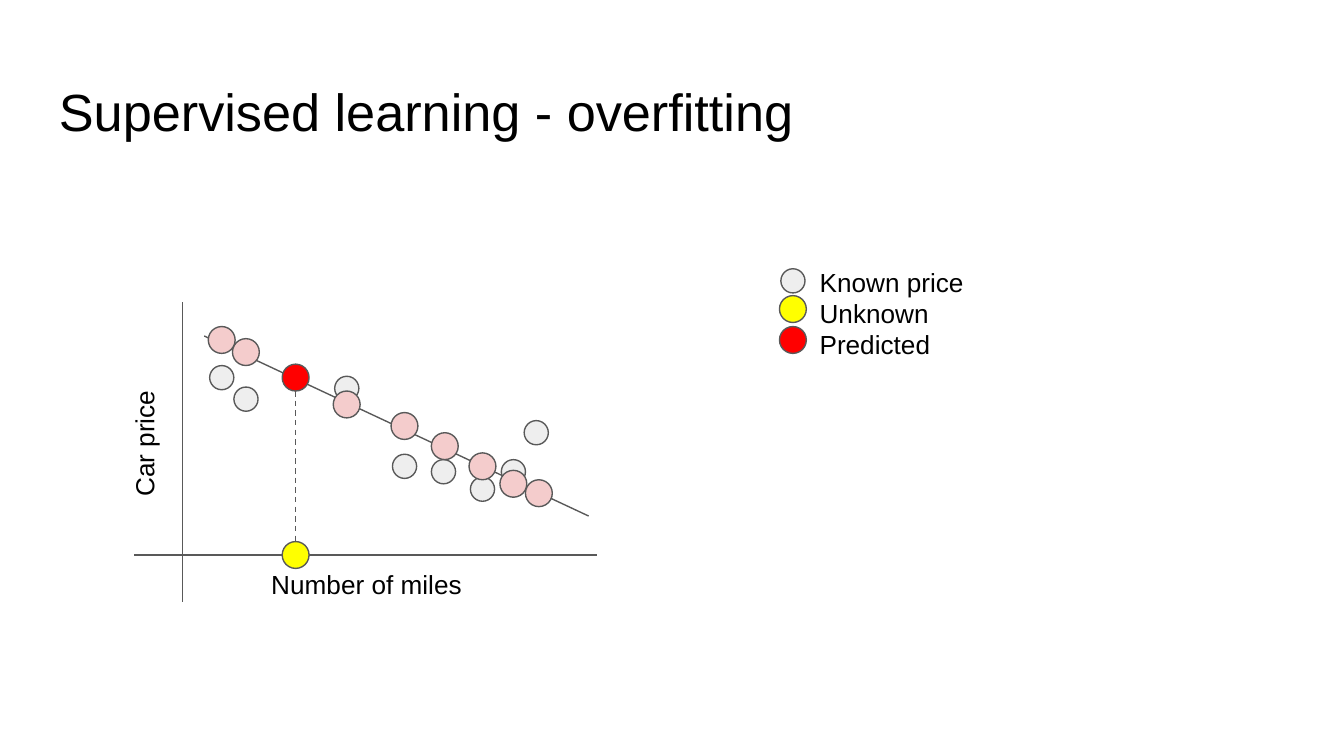
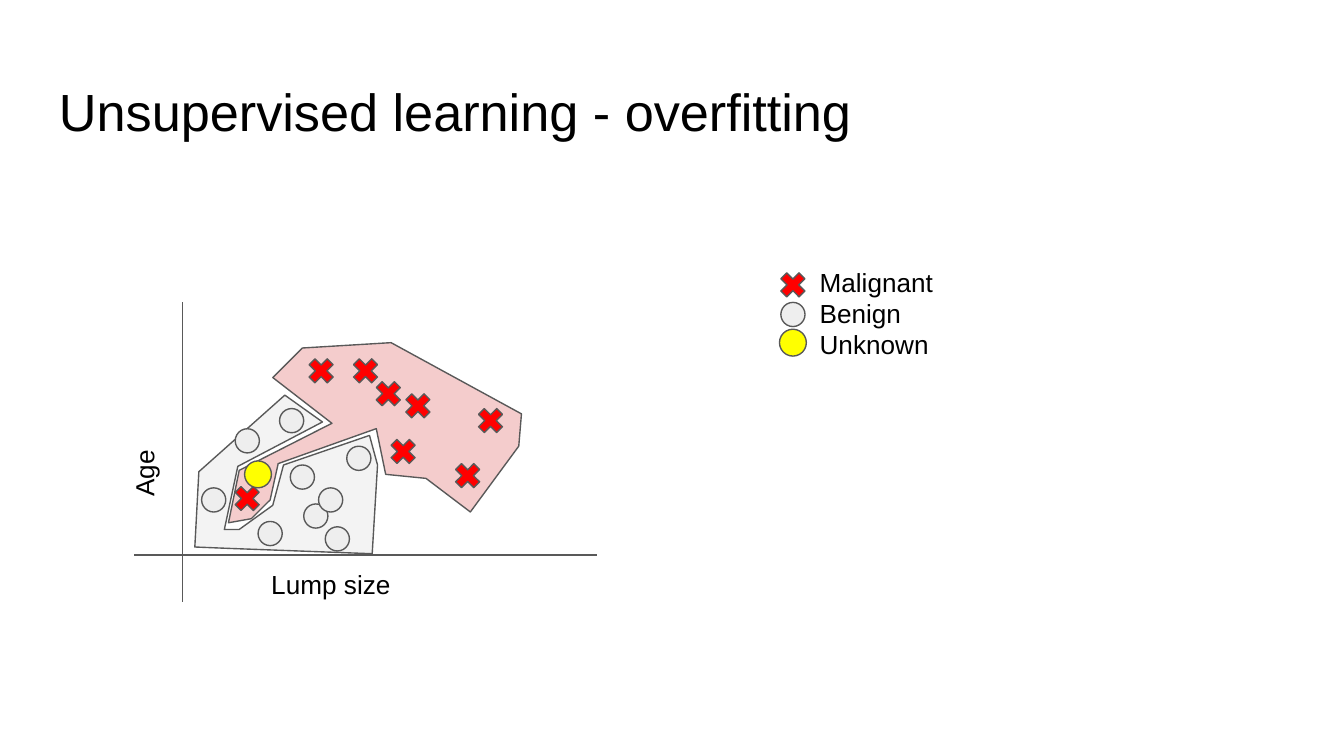
"""Build two slides that show overfitting in supervised and unsupervised learning."""
from lxml import etree
from pptx import Presentation
from pptx.dml.color import RGBColor
from pptx.enum.dml import MSO_LINE
from pptx.enum.shapes import MSO_CONNECTOR, MSO_SHAPE
from pptx.oxml.ns import qn
from pptx.util import Inches, Pt

CIRCLE = MSO_SHAPE.OVAL
DOT = MSO_SHAPE.FLOWCHART_CONNECTOR
CROSS = MSO_SHAPE.MATH_MULTIPLY
STRAIGHT = MSO_CONNECTOR.STRAIGHT
DASH = MSO_LINE.DASH

WIDTH = 10
HEIGHT = WIDTH * 9 / 16
INK, OUTLINE = "000000", "595959"
GREY, PALE_GREY, PINK = "EEEEEE", "F3F3F3", "F4CCCC"
YELLOW, RED = "FFFF00", "FF0000"

MARKERS = {
    "known": (CIRCLE, 0.18, GREY),
    "unknown": (DOT, 0.2, YELLOW),
    "predicted": (DOT, 0.2, RED),
    "fitted": (DOT, 0.2, PINK),
    "malignant": (CROSS, 0.26, RED),
}
TITLE_FORMAT = {"size": Pt(28), "name": "Arial"}
LABEL_FORMAT = {"size": Pt(14), "name": "Arial"}
TITLE_BOX = (0.34, 0.49, 9.32, 0.63)
AXIS_BOX = (1.92, 4.13, 4.84, 0.57)
LEGEND_BOX = (6, 1.88, 4.84, 0.97)
AXES = [(1.36, 2.25, 1.36, 4.48), (1, 4.13, 4.44, 4.13)]

PAGES = [
    {
        "title": "Supervised learning - overfitting",
        "across": "Number of miles",
        "up": ("Car price", (0.31, 2.68, 1.66, 0.57)),
        "legend": [("Known price", "known", 5.81, 2),
                   ("Unknown", "unknown", 5.8, 2.2),
                   ("Predicted", "predicted", 5.8, 2.43)],
        "areas": [],
        "back": {"known": [(3.73, 3.42), (3.21, 3.42), (1.56, 2.72), (3.5, 3.55),
                           (2.92, 3.38), (3.9, 3.13), (2.49, 2.8), (1.74, 2.88)]},
        "lines": [((1.52, 2.5, 4.38, 3.84), None), ((2.2, 2.91, 2.2, 4.03), DASH)],
        "front": {"unknown": [(2.1, 4.03)],
                  "predicted": [(2.1, 2.71)],
                  "fitted": [(1.73, 2.52), (1.55, 2.43), (2.48, 2.91), (2.91, 3.07),
                             (3.21, 3.22), (3.49, 3.37), (3.72, 3.5), (3.91, 3.57)]},
    },
    {
        "title": "Unsupervised learning - overfitting",
        "across": "Lump size",
        "up": ("Age", (0.71, 3.08, 0.86, 0.57)),
        "legend": [("Malignant", "malignant", 5.77, 1.99),
                   ("Benign", "known", 5.81, 2.25),
                   ("Unknown", "unknown", 5.8, 2.45)],
        "areas": [
            (PALE_GREY, [(1.69, 4.08), (2.77, 4.12), (2.81, 3.46), (2.75, 3.24),
                         (2.11, 3.46), (2.03, 3.76), (1.78, 3.94), (1.67, 3.94),
                         (1.77, 3.47), (2.4, 3.14), (2.12, 2.94), (1.48, 3.51),
                         (1.45, 4.07)]),
            (PINK, [(2.25, 2.59), (2.91, 2.55), (3.88, 3.08), (3.86, 3.32),
                    (3.5, 3.81), (3.17, 3.56), (2.87, 3.53), (2.8, 3.19),
                    (2.07, 3.45), (2.01, 3.72), (1.87, 3.86), (1.7, 3.89),
                    (1.78, 3.5), (2.47, 3.15), (2.03, 2.81)]),
        ],
        "back": {"known": [(1.5, 3.63), (2.26, 3.75), (1.75, 3.19), (2.16, 3.46),
                           (2.42, 3.92), (2.37, 3.63), (2.08, 3.04), (2.58, 3.32),
                           (1.92, 3.88)]},
        "lines": [],
        "front": {"malignant": [(2.59, 2.63), (2.76, 2.8), (2.98, 2.89), (2.26, 2.63),
                                (2.87, 3.23), (3.35, 3.41), (1.71, 3.58), (3.52, 3)],
                  "unknown": [(1.82, 3.43)]},
    },
]


def color(value):
    return RGBColor.from_string(value)


def outline(shape):
    shape.line.color.rgb = color(OUTLINE)
    shape.line.width = Pt(0.75)


def paint(shape, fill):
    shape.shadow.inherit = False
    shape.fill.solid()
    shape.fill.fore_color.rgb = color(fill)
    outline(shape)


def add_text(page, place, lines, formats, rotation=0):
    box = page.shapes.add_textbox(*map(Inches, place))
    box.rotation = rotation
    frame = box.text_frame
    frame.word_wrap = True
    for side in ("left", "top", "right", "bottom"):
        setattr(frame, f"margin_{side}", Inches(0.1))
    for number, line in enumerate(lines):
        para = frame.add_paragraph() if number else frame.paragraphs[0]
        span = para.add_run()
        span.text = line
        span.font.color.rgb = color(INK)
        for name, value in formats.items():
            setattr(span.font, name, value)


def add_line(page, ends, dash=None):
    line = page.shapes.add_connector(STRAIGHT, *map(Inches, ends))
    outline(line)
    if dash:
        line.line.dash_style = dash
    etree.SubElement(line._element.spPr, qn("a:effectLst"))


def add_marker(page, kind, left, top):
    preset, size, fill = MARKERS[kind]
    marker = page.shapes.add_shape(preset, *map(Inches, (left, top, size, size)))
    paint(marker, fill)


def add_markers(page, groups):
    for kind, places in groups.items():
        for left, top in places:
            add_marker(page, kind, left, top)


def add_area(page, fill, corners):
    points = [(Inches(x), Inches(y)) for x, y in corners]
    builder = page.shapes.build_freeform(*points[0])
    builder.add_line_segments(points[1:], close=True)
    paint(builder.convert_to_shape(), fill)


def build_page(deck, content):
    page = deck.slides.add_slide(deck.slide_layouts[6])
    for fill, corners in content["areas"]:
        add_area(page, fill, corners)
    add_text(page, TITLE_BOX, [content["title"]], TITLE_FORMAT)
    for ends in AXES:
        add_line(page, ends)
    add_markers(page, content["back"])
    for ends, dash in content["lines"]:
        add_line(page, ends, dash)
    add_markers(page, content["front"])
    add_text(page, AXIS_BOX, [content["across"]], LABEL_FORMAT)
    label, place = content["up"]
    add_text(page, place, [label], LABEL_FORMAT, rotation=270)
    for _, kind, left, top in content["legend"]:
        add_marker(page, kind, left, top)
    add_text(page, LEGEND_BOX, [entry[0] for entry in content["legend"]], LABEL_FORMAT)


def main():
    deck = Presentation()
    deck.slide_width, deck.slide_height = Inches(WIDTH), Inches(HEIGHT)
    for content in PAGES:
        build_page(deck, content)
    deck.save("out.pptx")


if __name__ == "__main__":
    main()
